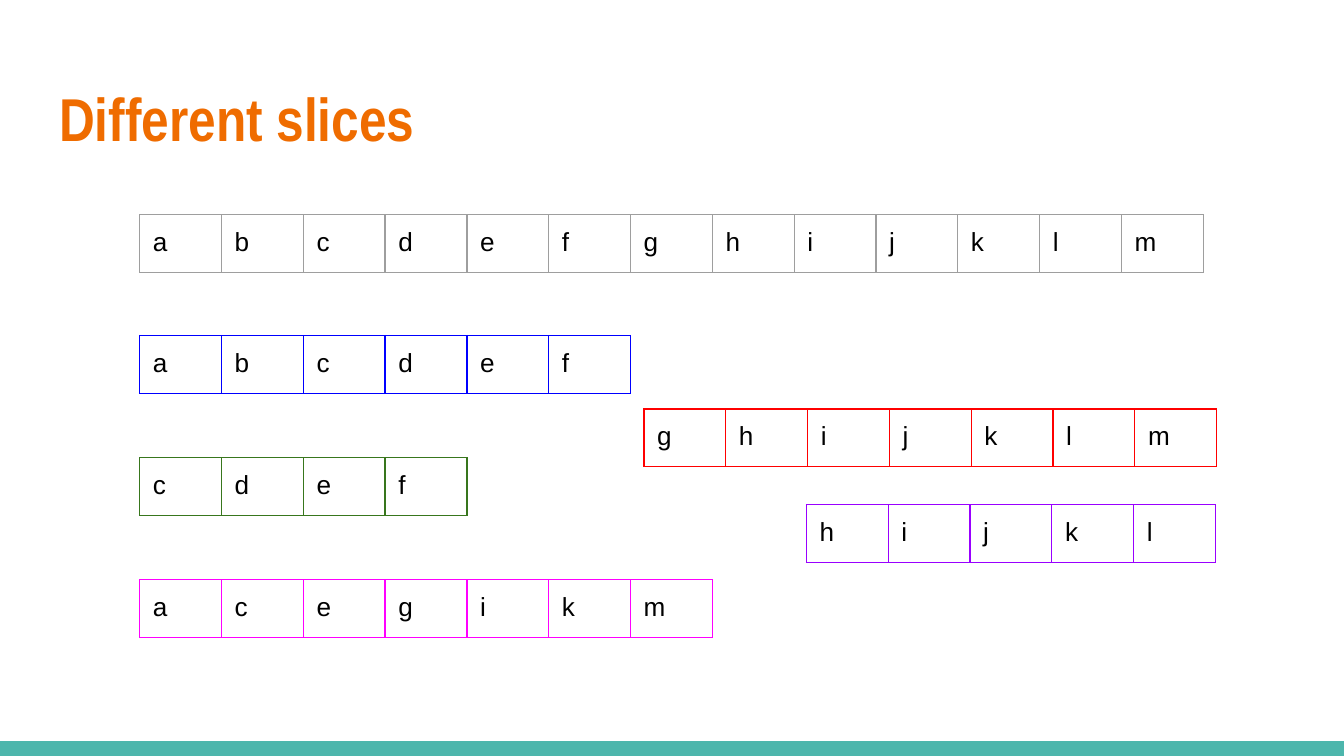
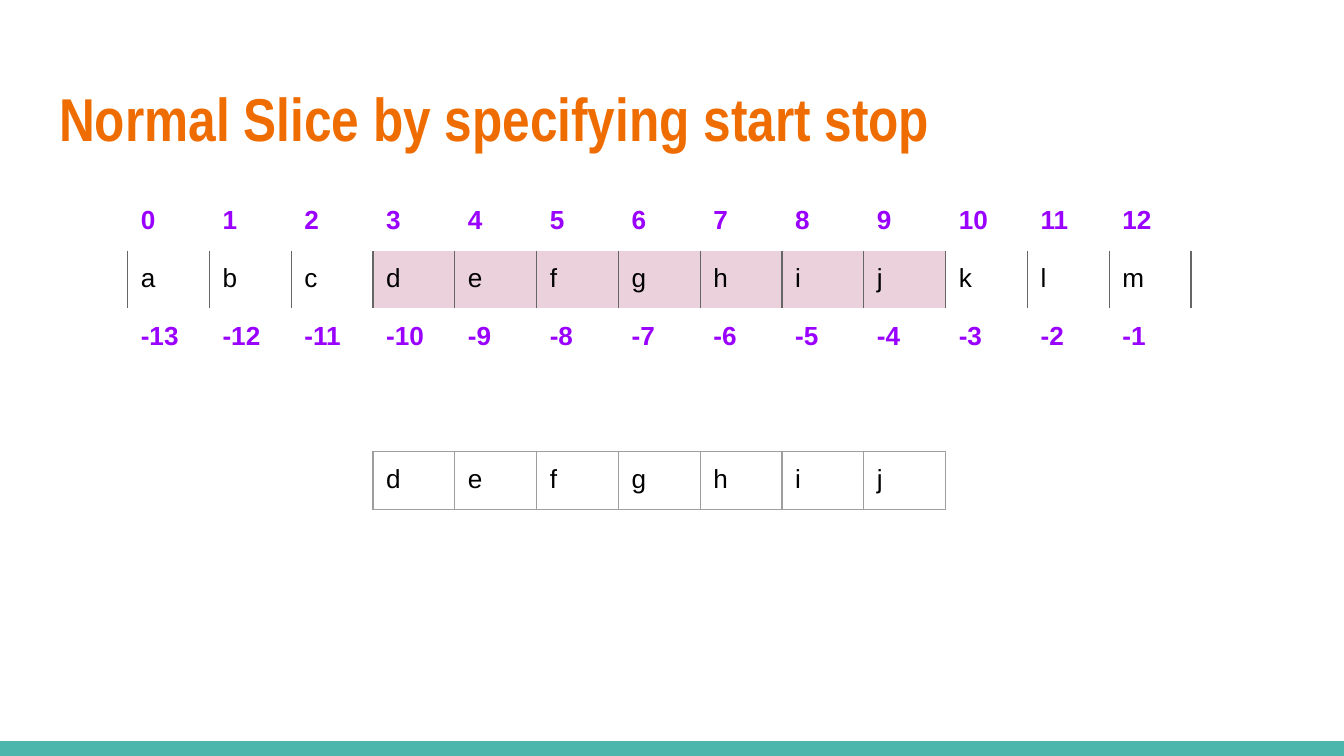
import pptx
import pptx.dml.color
import pptx.enum.shapes
import pptx.enum.text
import pptx.oxml.ns
import pptx.util
from lxml import etree
from pptx.util import Cm

RGBColor = pptx.dml.color.RGBColor
ORANGE = RGBColor(0xEF, 0x6C, 0x00)
TEAL = RGBColor(0x4D, 0xB6, 0xAC)
BLACK = RGBColor(0x00, 0x00, 0x00)
WHITE = RGBColor(0xFF, 0xFF, 0xFF)
GRAY = RGBColor(0x9E, 0x9E, 0x9E)
DARK_GRAY = RGBColor(0x66, 0x66, 0x66)
BLUE = RGBColor(0x00, 0x00, 0xFF)
RED = RGBColor(0xFF, 0x00, 0x00)
MAGENTA = RGBColor(0xFF, 0x00, 0xFF)
GREEN = RGBColor(0x38, 0x76, 0x1D)
PURPLE = RGBColor(0x99, 0x00, 0xFF)
PINK = RGBColor(0xEA, 0xD1, 0xDC)

LETTERS = "abcdefghijklm"
COUNT = len(LETTERS)
START, STOP = 3, 10
COLUMN_WIDTH = Cm(20.1) // COUNT
ROW_HEIGHT = Cm(1.06)
MARGIN = Cm(0.25)
LIST_LEFT = Cm(2.64)
INDEX_LEFT = Cm(2.41)


def add_run(paragraph, text, font_name, size, color, bold=False):
    run = paragraph.add_run()
    run.text = text
    run.font.name = font_name
    run.font.size = pptx.util.Pt(size)
    run.font.color.rgb = color
    run.font.bold = bold


def add_row(slide, left, top, values, border, fill=None, color=BLACK, highlight=()):
    frame = slide.shapes.add_table(
        1, len(values), left, top, COLUMN_WIDTH * len(values), ROW_HEIGHT)
    table = frame.table
    table.first_row = False
    table.horz_banding = False
    table.rows[0].height = ROW_HEIGHT
    for index, value in enumerate(values):
        table.columns[index].width = COLUMN_WIDTH
        cell = table.cell(0, index)
        cell.margin_left = cell.margin_right = MARGIN
        cell.margin_top = cell.margin_bottom = MARGIN
        properties = cell._tc.get_or_add_tcPr()
        for side in ("a:lnL", "a:lnR", "a:lnT", "a:lnB"):
            line = etree.SubElement(
                properties, pptx.oxml.ns.qn(side), w=str(pptx.util.Pt(0.75)))
            solid = etree.SubElement(line, pptx.oxml.ns.qn("a:solidFill"))
            etree.SubElement(solid, pptx.oxml.ns.qn("a:srgbClr"), val=str(border))
        cell_fill = PINK if index in highlight else fill
        if cell_fill is None:
            cell.fill.background()
        else:
            cell.fill.solid()
            cell.fill.fore_color.rgb = cell_fill
        add_run(cell.text_frame.paragraphs[0], str(value), "Arial", 14, color,
                bold=color == PURPLE)


presentation = pptx.Presentation()
presentation.slide_width = Cm(25.4)
presentation.slide_height = Cm(14.29)

slides = []
for title in ("Different slices", "Normal Slice by specifying start stop"):
    slide = presentation.slides.add_slide(presentation.slide_layouts[6])
    slide.background.fill.solid()
    slide.background.fill.fore_color.rgb = WHITE

    band = slide.shapes.add_shape(
        pptx.enum.shapes.MSO_SHAPE.RECTANGLE, 0, Cm(14.01), Cm(25.4), Cm(0.28))
    band.shadow.inherit = False
    band.fill.solid()
    band.fill.fore_color.rgb = TEAL
    band.line.fill.background()

    title_box = slide.shapes.add_textbox(Cm(0.87), Cm(1.24), Cm(23.67), Cm(1.96))
    text_frame = title_box.text_frame
    text_frame.word_wrap = True
    text_frame.vertical_anchor = pptx.enum.text.MSO_ANCHOR.MIDDLE
    text_frame.margin_left = text_frame.margin_right = MARGIN
    text_frame.margin_top = text_frame.margin_bottom = MARGIN
    add_run(text_frame.paragraphs[0], title, "Arial Narrow", 32.4, ORANGE, bold=True)
    slides.append(slide)

different_slices, normal_slice = slides

for left, top, letters, border in (
    (LIST_LEFT, Cm(4.06), LETTERS, GRAY),
    (LIST_LEFT, Cm(6.34), LETTERS[:6], BLUE),
    (Cm(12.17), Cm(7.73), LETTERS[6:], RED),
    (LIST_LEFT, Cm(10.96), LETTERS[::2], MAGENTA),
    (LIST_LEFT, Cm(8.65), LETTERS[2:6], GREEN),
    (Cm(15.24), Cm(9.54), LETTERS[7:12], PURPLE),
):
    add_row(different_slices, left, top, letters, border)

add_row(normal_slice, INDEX_LEFT, Cm(4.74), LETTERS, DARK_GRAY,
        highlight=range(START, STOP))
add_row(normal_slice, INDEX_LEFT + START * COLUMN_WIDTH, Cm(8.53),
        LETTERS[START:STOP], GRAY)
for top, indexes in ((Cm(3.63), range(COUNT)), (Cm(5.84), range(-COUNT, 0))):
    add_row(normal_slice, INDEX_LEFT, top, indexes, WHITE, fill=WHITE, color=PURPLE)

presentation.save("out.pptx")
